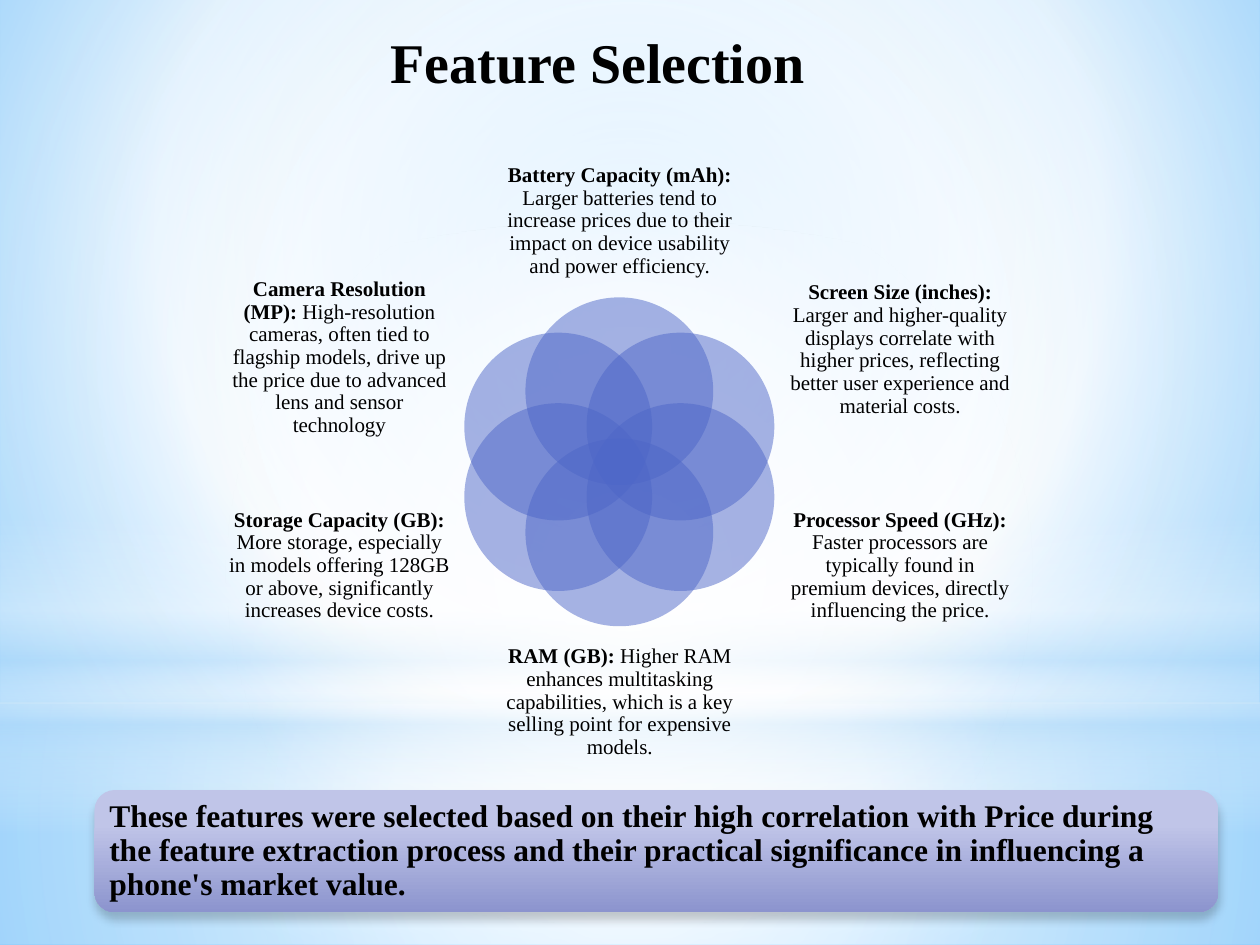
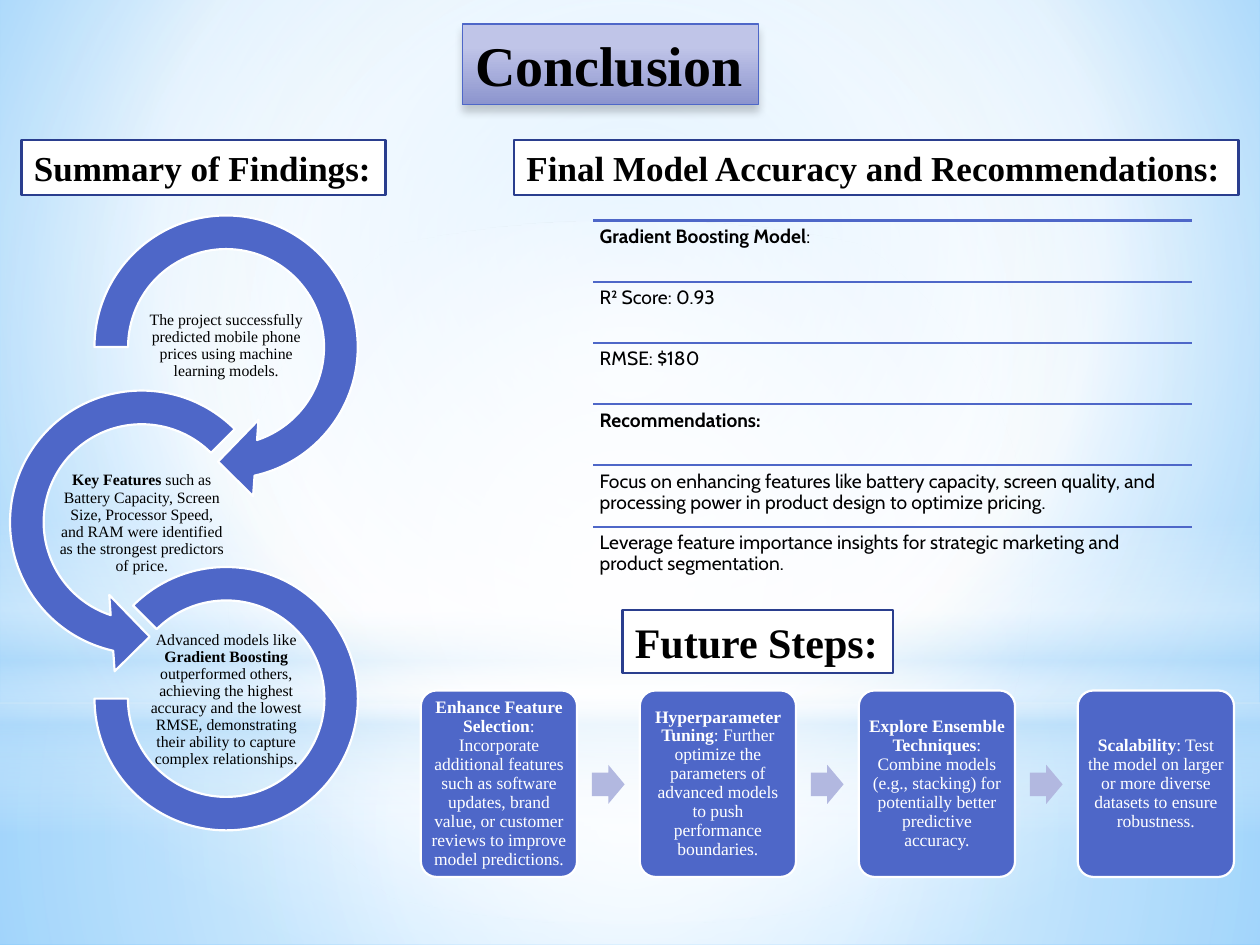
from dataclasses import dataclass
from math import cos, radians, sin

from lxml.etree import SubElement
from pptx import Presentation
from pptx.dml.color import RGBColor
from pptx.enum.shapes import MSO_CONNECTOR, MSO_SHAPE
from pptx.enum.text import MSO_ANCHOR, MSO_AUTO_SIZE, PP_ALIGN
from pptx.oxml.ns import qn
from pptx.util import Inches, Pt

LINE = MSO_CONNECTOR.STRAIGHT
RECT, OVAL = MSO_SHAPE.RECTANGLE, MSO_SHAPE.OVAL
ROUND, ARROW = MSO_SHAPE.ROUNDED_RECTANGLE, MSO_SHAPE.RIGHT_ARROW
LOOP, BACK = MSO_SHAPE.CIRCULAR_ARROW, MSO_SHAPE.LEFT_CIRCULAR_ARROW
ARC = MSO_SHAPE.BLOCK_ARC
TOP, MID = MSO_ANCHOR.TOP, MSO_ANCHOR.MIDDLE
LEFT, CENTER = PP_ALIGN.LEFT, PP_ALIGN.CENTER
FIXED = MSO_AUTO_SIZE.NONE

COLS, ROWS = 100, 75
MIDDLE = (50, 50, 50, 50)


@dataclass(frozen=True)
class Blend:
    """Gradient: stops of (place, colour, opacity), linear unless it has a focus."""
    stops: tuple
    focus: tuple = None


@dataclass(frozen=True)
class Theme:
    serif: str = "Times New Roman"
    sans: str = "Cabin"
    ink: str = "000000"
    white: str = "FFFFFF"
    blue: str = "4E67C8"
    navy: str = "2A3E8E"
    pale: str = "B2B8E0"
    title: int = 32
    step: int = 24
    head: int = 20
    note: int = 18
    label: int = 12
    row: int = 11
    card: int = 10
    loop: int = 9
    thin: float = 0.75
    thick: float = 1.25
    tight: float = 0.9
    lilac: Blend = Blend(((28, "C0C5E8", 100), (100, "8C94CE", 100)))
    sky: Blend = Blend(((0, "9ED5FF", 100), (60, "FFFFFF", 100),
                        (100, "5BB9FF", 100)), (20, 10, 20, 60))


T = Theme()

GLOWS = [
    (RECT, (0, 55.8, 100, 19.2),
     Blend(((0, "FFFFFF", 91), (37, "FFFFFF", 76), (100, "B4DCFA", 79)), MIDDLE)),
    (RECT, (0, 0, 100, 55.8),
     Blend(((0, "FFFFFF", 89), (48, "FFFFFF", 62), (100, "B4DCFA", 79)), MIDDLE)),
    (RECT, (0, 41.2, 100, 25),
     Blend(((0, "FFFFFF", 0), (29, "FFFFFF", 30), (45, "B4DCFA", 40),
            (55, "FFFFFF", 26), (65, "B4DCFA", 60), (100, "FFFFFF", 0)))),
    (OVAL, (0, 17.5, 100, 55.8),
     Blend(((0, "FFFFFF", 100), (56, "FFFFFF", 0)), MIDDLE)),
]

# Text between asterisks is bold.
LABELS = [
    ((39.9, 12.5, 18.6, 10.1), "*Battery Capacity (mAh): *Larger batteries tend to increase "
     "prices due to their impact on device usability and power efficiency."),
    ((62.6, 22.2, 17.7, 11.1), "*Screen Size (inches): *Larger and higher-quality displays "
     "correlate with higher prices, reflecting better user experience and material costs."),
    ((62.6, 38.7, 17.7, 12.4), "*Processor Speed (GHz): *Faster processors are typically "
     "found in premium devices, directly influencing the price."),
    ((39.9, 50.7, 18.6, 10.1), "*RAM (GB): *Higher RAM enhances multitasking capabilities, "
     "which is a key selling point for expensive models."),
    ((18.1, 38.7, 17.7, 12.4), "*Storage Capacity (GB): *More storage, especially in models "
     "offering 128GB or above, significantly increases device costs."),
    ((18.1, 22.2, 17.7, 12.4), "*Camera Resolution (MP): *High-resolution cameras, often tied "
     "to flagship models, drive up the price due to advanced lens and sensor technology"),
]
NOTE = ("These features were selected based on their high correlation with Price during the "
        "feature extraction process and their practical significance in influencing a "
        "phone's market value.")

HEADS = [
    ((1.7, 11.1, 28.9, 4.4), T.head, "Summary of Findings:"),
    ((40.8, 11.1, 57.5, 4.4), T.head, "Final Model Accuracy and Recommendations:"),
    ((49.4, 48.4, 21.5, 5), T.step, "Future Steps:"),
]
LOOPS = [
    (LOOP, (5.8, 15.4, 24.3, 24.3), (0.11, 11.42, 45, 108, 0.125), (11.2, 24.1),
     "The project successfully predicted mobile phone prices using machine learning models."),
    (BACK, (-0.9, 29.3, 24.3, 24.3), (0.11, 11.42, 63, 189, 0.125), (4.5, 38.2),
     "*Key Features* such as Battery Capacity, Screen Size, Processor Speed, and RAM were "
     "identified as the strongest predictors of price."),
    (ARC, (7.5, 45, 20.9, 20.9), (135, 108, 0.127), (11.2, 52.2),
     "Advanced models like *Gradient Boosting* outperformed others, achieving the highest "
     "accuracy and the lowest RMSE, demonstrating their ability to capture complex "
     "relationships."),
]
RESULTS = [
    "*Gradient Boosting Model*:",
    "R² Score: 0.93",
    "RMSE: $180",
    "*Recommendations:*",
    "Focus on enhancing features like battery capacity, screen quality, and processing power "
    "in product design to optimize pricing.",
    "Leverage feature importance insights for strategic marketing and product segmentation.",
]
STEPS = [
    "*Enhance Feature Selection*: Incorporate additional features such as software updates, "
    "brand value, or customer reviews to improve model predictions.",
    "*Hyperparameter Tuning*: Further optimize the parameters of advanced models to push "
    "performance boundaries.",
    "*Explore Ensemble Techniques*: Combine models (e.g., stacking) for potentially better "
    "predictive accuracy.",
    "*Scalability*: Test the model on larger or more diverse datasets to ensure robustness.",
]


def blend(fill, root, look):
    """Turn the fill, whose XML lies under root, into the given gradient."""
    fill.gradient()
    grad = root.find(".//" + qn("a:gradFill"))
    grad.clear()
    stops = SubElement(grad, qn("a:gsLst"))
    for place, tint, alpha in look.stops:
        stop = SubElement(stops, qn("a:gs"), pos=str(place * 1000))
        color = SubElement(stop, qn("a:srgbClr"), val=tint)
        SubElement(color, qn("a:alpha"), val=str(alpha * 1000))
    if look.focus:
        way = SubElement(grad, qn("a:path"), {"path": "circle"})
        sides = {k: str(v * 1000) for k, v in zip("ltrb", look.focus)}
        SubElement(way, qn("a:fillToRect"), sides)
    else:
        SubElement(grad, qn("a:lin"), ang="5400000", scaled="0")


def shade(shape):
    """Give the shape a soft shadow straight below it."""
    shape.shadow.inherit = False
    glow = shape.element.spPr.find(qn("a:effectLst"))
    drop = SubElement(glow, qn("a:outerShdw"), blurRad=str(Pt(5)), dist=str(Pt(4)),
                      dir="5400000", rotWithShape="0")
    color = SubElement(drop, qn("a:srgbClr"), val=T.ink)
    SubElement(color, qn("a:alpha"), val="20000")


class Deck:
    def __init__(self):
        self.show = Presentation()
        self.show.slide_width, self.show.slide_height = Inches(10), Inches(7.5)
        self.col = self.show.slide_width / COLS
        self.row = self.show.slide_height / ROWS
        self.plain = self.show.slide_layouts[5]
        self.slide = None
        master = self.show.slide_master
        blend(master.background.fill, master.element, T.sky)

    def scale(self, box):
        x, y, w, h = box
        return [int(v) for v in (x * self.col, y * self.row, w * self.col, h * self.row)]

    def start(self):
        self.slide = self.show.slides.add_slide(self.plain)

    def glow(self):
        """Draw the light bands once, then move them into the shared layout."""
        tree = self.plain.element.find(".//" + qn("p:spTree"))
        for i, (kind, box, look) in enumerate(GLOWS):
            item = self.shape(kind, box, look).element
            item.nvSpPr.cNvPr.set("id", str(90 + i))
            tree.insert(2 + i, item)

    def paint(self, shape, fill=None, line=None, width=T.thick):
        if isinstance(fill, Blend):
            blend(shape.fill, shape.element.spPr, fill)
        elif fill:
            shape.fill.solid()
            shape.fill.fore_color.rgb = RGBColor.from_string(fill)
        else:
            shape.fill.background()
        if line:
            shape.line.color.rgb = RGBColor.from_string(line)
            shape.line.width = Pt(width)
        else:
            shape.line.fill.background()

    def shape(self, kind, box, fill, line=None, bends=()):
        shape = self.slide.shapes.add_shape(kind, *self.scale(box))
        shape.shadow.inherit = False
        self.paint(shape, fill, line)
        for i, bend in enumerate(bends):
            shape.adjustments[i] = bend
        return shape

    def petal(self, box):
        """Add a half clear circle."""
        disc = self.shape(OVAL, box, T.blue)
        color = disc.element.spPr.find(".//" + qn("a:srgbClr"))
        SubElement(color, qn("a:alpha"), val="50000")

    def label(self, shape, text, size, font=T.serif, tint=T.ink, bold=False, align=LEFT,
              anchor=TOP, pad=(0.1, 0.05), space=1, wrap=True):
        frame = shape.text_frame
        frame.auto_size, frame.word_wrap = FIXED, wrap
        frame.vertical_anchor = anchor
        frame.margin_left = frame.margin_right = Inches(pad[0])
        frame.margin_top = frame.margin_bottom = Inches(pad[1])
        para = frame.paragraphs[0]
        para.alignment, para.line_spacing = align, space
        para.font.name, para.font.size, para.font.bold = font, Pt(size), bold
        para.font.color.rgb = RGBColor.from_string(tint)
        for i, part in enumerate(text.split("*")):
            if part:
                run = para.add_run()
                run.text = part
                if i % 2:
                    run.font.bold = True

    def text(self, box, text, size, **style):
        self.label(self.slide.shapes.add_textbox(*self.scale(box)), text, size, **style)

    def title(self, box, text, wrap=True):
        head = self.slide.shapes.title
        head.left, head.top, head.width, head.height = self.scale(box)
        self.label(head, text, T.title, bold=True, wrap=wrap)
        return head

    def head(self, box, size, text):
        self.label(self.shape(RECT, box, T.white, T.navy), text, size, bold=True, wrap=False)

    def rule(self, x, y, width):
        start_x, start_y, span, _ = self.scale((x, y, width, 0))
        line = self.slide.shapes.add_connector(LINE, start_x, start_y, start_x + span, start_y)
        line.line.color.rgb = RGBColor.from_string(T.blue)
        line.line.width = Pt(T.thick)
        SubElement(line.element.spPr, qn("a:effectLst"))


def draw_features(deck):
    deck.title((30, 1.7, 59.2, 6.4), "Feature Selection")
    mid_x, mid_y, reach, size = 49.15, 36.65, 5.6, 14.9
    for i, (box, text) in enumerate(LABELS):
        turn = radians(60 * i)
        x = mid_x + reach * sin(turn) - size / 2
        y = mid_y - reach * cos(turn) - size / 2
        deck.petal((x, y, size, size))
        deck.text(box, text, T.label, align=CENTER, anchor=MID, pad=(0, 0), space=T.tight)
    band = deck.shape(ROUND, (7.5, 62.7, 89.2, 9.7), T.lilac)
    shade(band)
    deck.label(band, NOTE, T.note, bold=True, anchor=MID, pad=(0.07, 0.07), space=T.tight)


def draw_close(deck):
    head = deck.title((36.7, 1.9, 23.5, 6.4), "Conclusion", wrap=False)
    deck.paint(head, T.lilac, T.blue, T.thin)
    shade(head)
    for box, size, text in HEADS:
        deck.head(box, size, text)
    for kind, box, bends, spot, text in LOOPS:
        deck.shape(kind, box, T.blue, T.white, bends)
        deck.text((*spot, 13.5, 6.7), text, T.loop, align=CENTER, anchor=MID,
                  pad=(0.01, 0.01), space=T.tight)
    for i, text in enumerate(RESULTS):
        y = 17.5 + 4.86 * i
        deck.rule(47.1, y, 47.5)
        deck.text((47.1, y, 47.5, 4.9), text, T.row, font=T.sans, pad=(0.05, 0.05),
                  space=T.tight)
    for i, text in enumerate(STEPS):
        x = 33.4 + 17.38 * i
        if i:
            deck.shape(ARROW, (x - 3.8, 60.7, 2.6, 3.1), T.pale, bends=(0.6, 0.5))
        card = deck.shape(ROUND, (x, 54.8, 12.4, 14.8), T.blue, T.white, (0.1,))
        deck.label(card, text, T.card, tint=T.white, align=CENTER, anchor=MID,
                   pad=(0.04, 0.04), space=T.tight)


def main():
    deck = Deck()
    deck.start()
    deck.glow()
    draw_features(deck)
    deck.start()
    draw_close(deck)
    deck.show.save("out.pptx")


if __name__ == "__main__":
    main()
